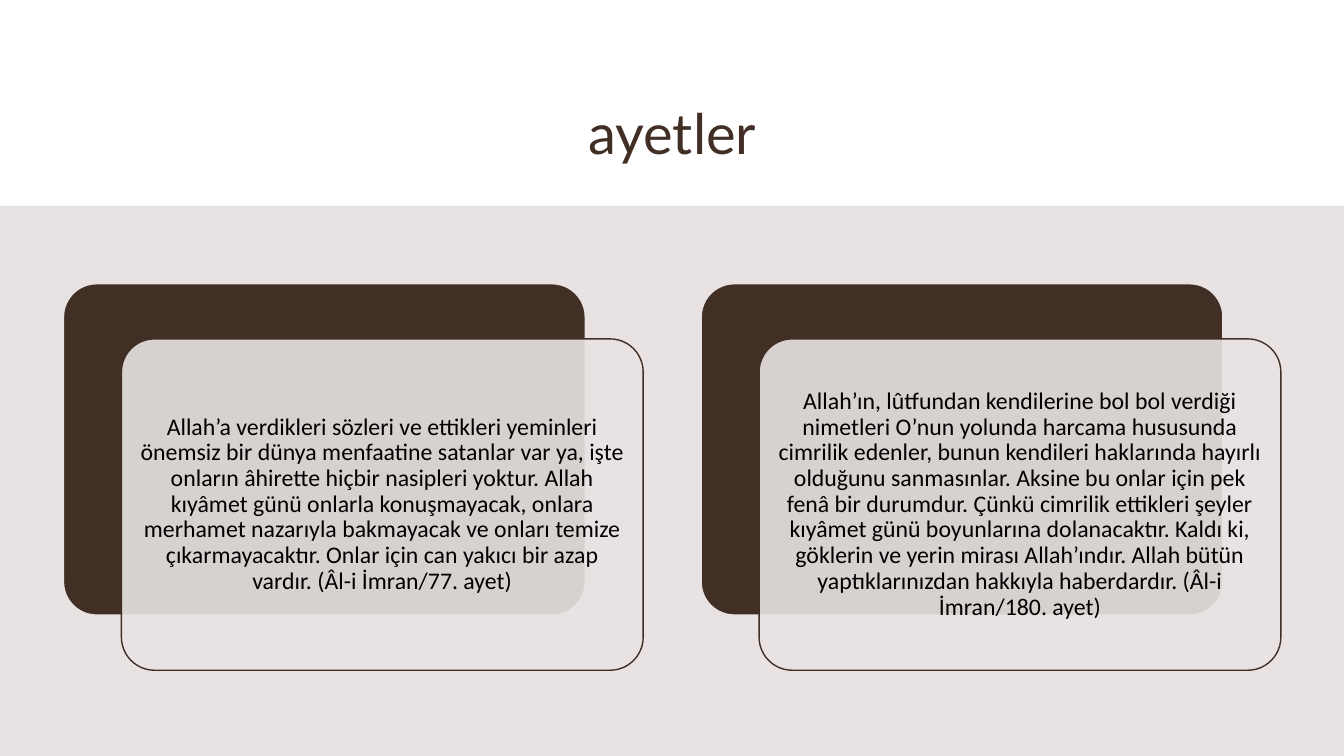
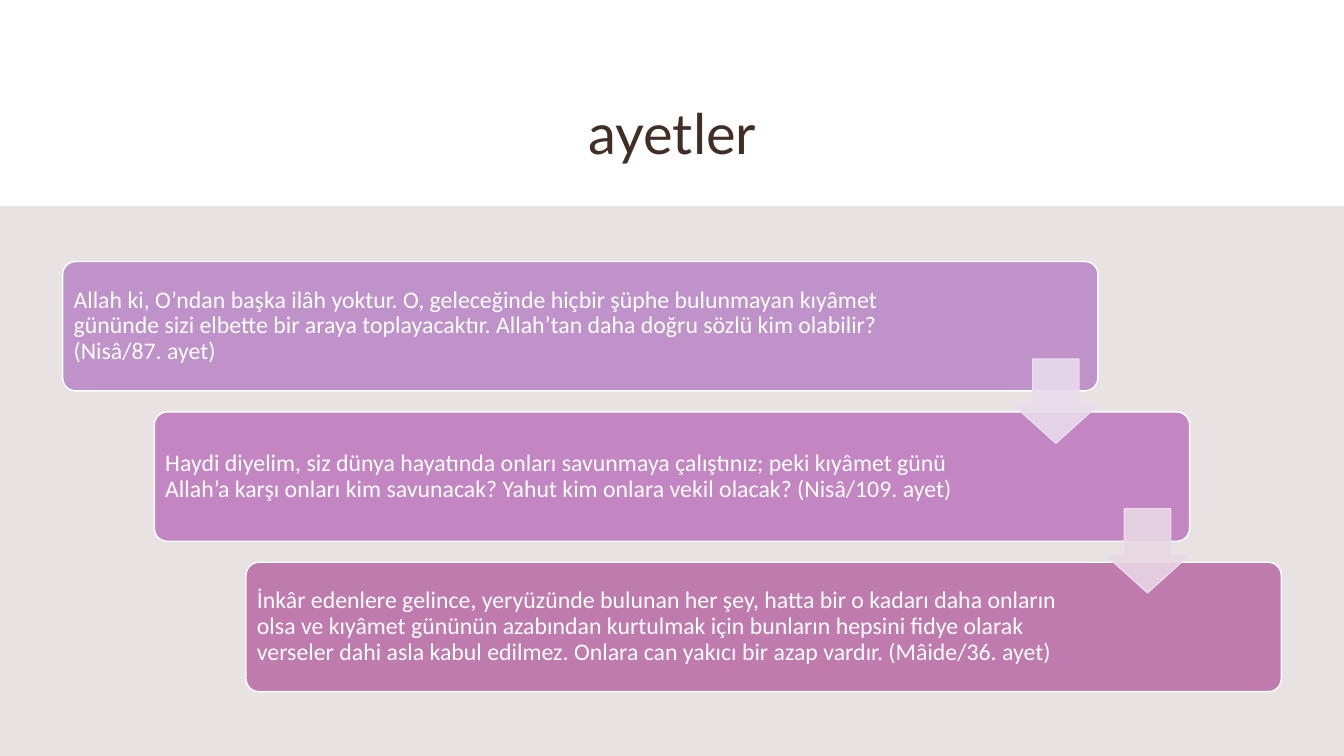
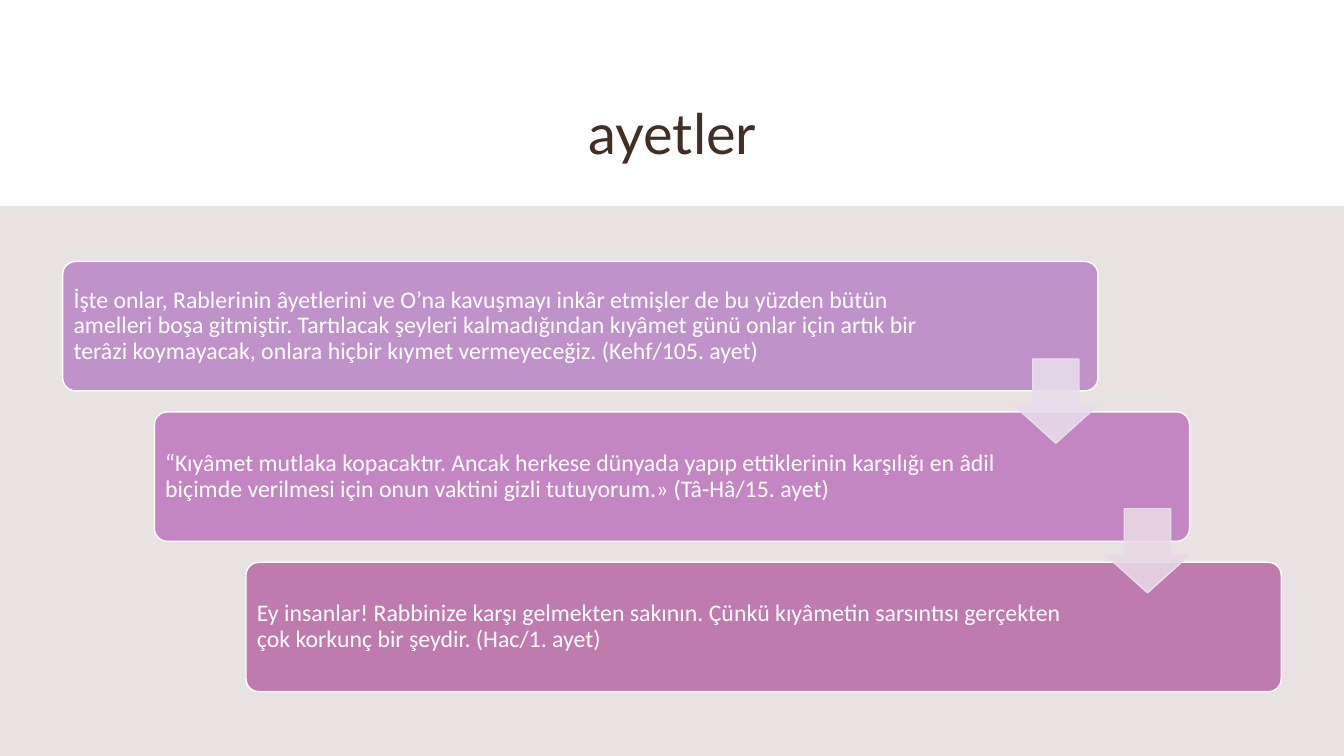
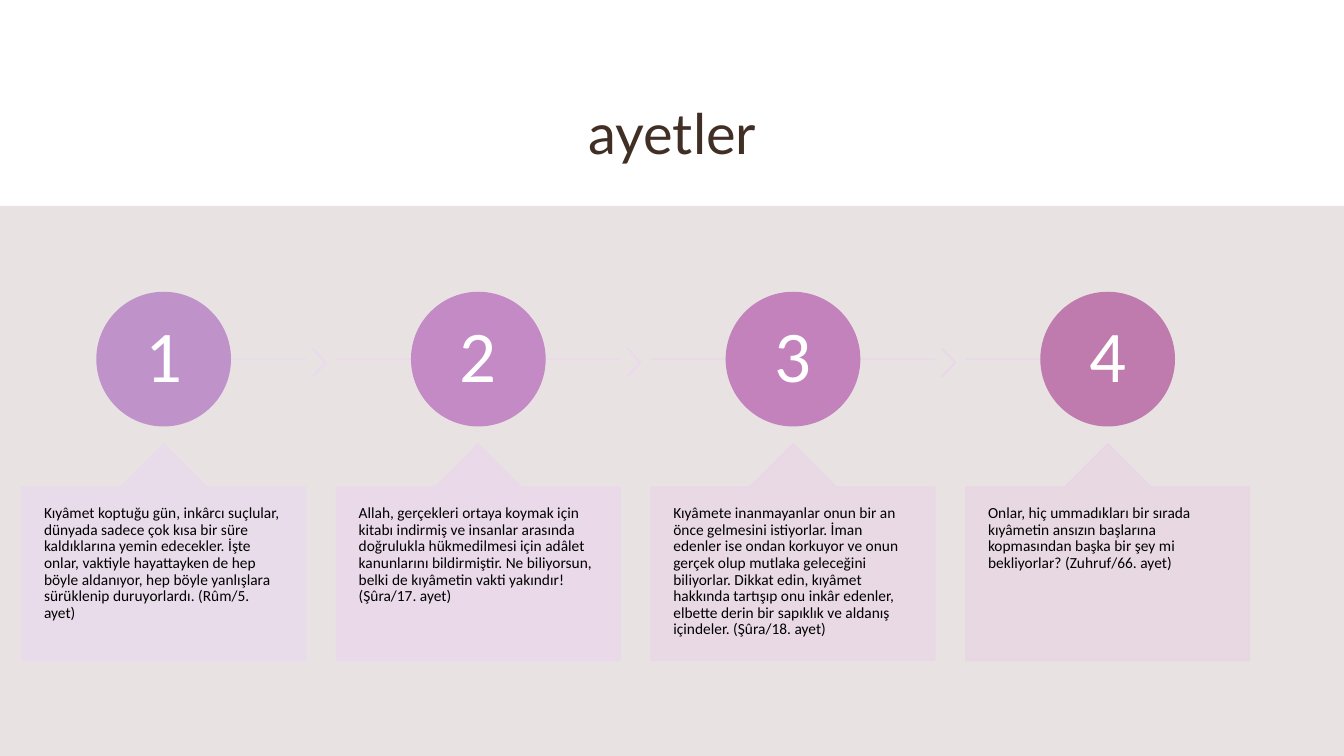
from pptx import Presentation
from pptx.dml.color import RGBColor
from pptx.enum.shapes import MSO_CONNECTOR, MSO_SHAPE
from pptx.enum.text import MSO_ANCHOR, PP_ALIGN
from pptx.oxml.ns import qn
from pptx.util import Cm, Pt
from lxml.etree import SubElement

COLORS = {
    "white": "FFFFFF", "black": "000000", "brown": "412E24", "band": "E8E3E2",
    "lilac": "C092CA", "orchid": "C486C2", "rose": "BF7AAE",
    "mauve": "C48AC6", "pink": "C382BC",
    "pale_lilac": "E8DCEC", "pale_rose": "E8D7E3",
    "line_2": "EADAEB", "line_3": "EAD9E9", "line_4": "E9D8E5",
    "chevron_1": "E9DBEB", "chevron_2": "EADAEA", "chevron_3": "E9D9E8",
    "callout_2": "EAD9EA", "callout_3": "E9D8E6",
}
COLORS = {name: RGBColor.from_string(value) for name, value in COLORS.items()}
TITLE = "ayetler"


def add_box(slide, kind, left, top, width, height, fill, line=None, adjustments=(), alpha=None):
    shape = slide.shapes.add_shape(kind, Cm(left), Cm(top), Cm(width), Cm(height))
    shape.shadow.inherit = False
    for index, value in enumerate(adjustments):
        shape.adjustments[index] = value
    shape.fill.solid()
    shape.fill.fore_color.rgb = COLORS[fill]
    if line:
        shape.line.color.rgb = COLORS[line]
        shape.line.width = Pt(1)
    else:
        shape.line.fill.background()
    if alpha:
        color = shape._element.spPr.find(qn("a:solidFill")).find(qn("a:srgbClr"))
        SubElement(color, qn("a:alpha"), val=str(alpha * 1000))
    return shape


def set_text(shape, text, size, color, insets, align=PP_ALIGN.LEFT,
             anchor=MSO_ANCHOR.MIDDLE, font="Calibri", spacing=0.9):
    frame = shape.text_frame
    frame.word_wrap = True
    frame.vertical_anchor = anchor
    frame.margin_left, frame.margin_top, frame.margin_right, frame.margin_bottom = map(Cm, insets)
    paragraph = frame.paragraphs[0]
    paragraph.text = text
    paragraph.alignment = align
    paragraph.line_spacing = spacing
    paragraph.font.name = font
    paragraph.font.size = Pt(size)
    paragraph.font.color.rgb = COLORS[color]


presentation = Presentation()
presentation.slide_width = Cm(33.87)
presentation.slide_height = Cm(19.05)

slides = []
for _ in range(4):
    slide = presentation.slides.add_slide(presentation.slide_layouts[6])
    slide.background.fill.solid()
    slide.background.fill.fore_color.rgb = COLORS["white"]
    title = slide.shapes.add_textbox(Cm(3.97), Cm(1.96), Cm(25.95), Cm(2.76))
    set_text(title, TITLE, 40, "brown", (0.25, 0.13, 0.25, 0.13), PP_ALIGN.CENTER,
             font="Lato", spacing=1.0)
    add_box(slide, MSO_SHAPE.RECTANGLE, 0, 5.19, 33.87, 13.86, "band")
    slides.append(slide)

cards = [
    "Allah’a verdikleri sözleri ve ettikleri yeminleri önemsiz bir dünya menfaatine satanlar var ya, işte onların âhirette hiçbir nasipleri yoktur. Allah kıyâmet günü onlarla konuşmayacak, onlara merhamet nazarıyla bakmayacak ve onları temize çıkarmayacaktır. Onlar için can yakıcı bir azap vardır. (Âl-i İmran/77. ayet)",
    "Allah’ın, lûtfundan kendilerine bol bol verdiği nimetleri O’nun yolunda harcama hususunda cimrilik edenler, bunun kendileri haklarında hayırlı olduğunu sanmasınlar. Aksine bu onlar için pek fenâ bir durumdur. Çünkü cimrilik ettikleri şeyler kıyâmet günü boyunlarına dolanacaktır. Kaldı ki, göklerin ve yerin mirası Allah’ındır. Allah bütün yaptıklarınızdan hakkıyla haberdardır. (Âl-i İmran/180. ayet)",
]
for index, text in enumerate(cards):
    left, top = 1.6 + 16.07 * index, 7.15
    add_box(slides[0], MSO_SHAPE.ROUNDED_RECTANGLE, left, top, 13.15, 8.35,
            "brown", "band", [0.1])
    card = add_box(slides[0], MSO_SHAPE.ROUNDED_RECTANGLE, left + 1.46, top + 1.39, 13.15, 8.35,
                   "band", "brown", [0.1], 90)
    set_text(card, text, 17, "black", [0.18] * 4, PP_ALIGN.CENTER)

staircases = [
    [
        "Allah ki, O’ndan başka ilâh yoktur. O, geleceğinde hiçbir şüphe bulunmayan kıyâmet gününde sizi elbette bir araya toplayacaktır. Allah’tan daha doğru sözlü kim olabilir? (Nisâ/87. ayet)",
        "Haydi diyelim, siz dünya hayatında onları savunmaya çalıştınız; peki kıyâmet günü Allah’a karşı onları kim savunacak? Yahut kim onlara vekil olacak? (Nisâ/109. ayet)",
        "İnkâr edenlere gelince, yeryüzünde bulunan her şey, hatta bir o kadarı daha onların olsa ve kıyâmet gününün azabından kurtulmak için bunların hepsini fidye olarak verseler dahi asla kabul edilmez. Onlara can yakıcı bir azap vardır. (Mâide/36. ayet)",
    ],
    [
        "İşte onlar, Rablerinin âyetlerini ve O’na kavuşmayı inkâr etmişler de bu yüzden bütün amelleri boşa gitmiştir. Tartılacak şeyleri kalmadığından kıyâmet günü onlar için artık bir terâzi koymayacak, onlara hiçbir kıymet vermeyeceğiz. (Kehf/105. ayet)",
        "“Kıyâmet mutlaka kopacaktır. Ancak herkese dünyada yapıp ettiklerinin karşılığı en âdil biçimde verilmesi için onun vaktini gizli tutuyorum.» (Tâ-Hâ/15. ayet)",
        "Ey insanlar! Rabbinize karşı gelmekten sakının. Çünkü kıyâmetin sarsıntısı gerçekten çok korkunç bir şeydir. (Hac/1. ayet)",
    ],
]
step_fills = ["lilac", "orchid", "rose"]
step_right_insets = [3.5, 4.6, 4.6]
step_left, step_shift, step_width, arrow_size = 1.58, 2.31, 26.09, 2.12
for slide, steps in zip(slides[1:3], staircases):
    for index, (text, fill, right) in enumerate(zip(steps, step_fills, step_right_insets)):
        step = add_box(slide, MSO_SHAPE.ROUNDED_RECTANGLE, step_left + step_shift * index,
                       6.59 + 3.79 * index, step_width, 3.26, fill, "white", [0.1])
        set_text(step, text, 17, "white", (0.18, 0.18, right, 0.18))
    for index, fill in enumerate(["pale_lilac", "pale_rose"]):
        add_box(slide, MSO_SHAPE.DOWN_ARROW,
                step_left + step_shift * index + step_width - arrow_size, 9.05 + 3.77 * index,
                arrow_size, arrow_size, fill, "pale_lilac", [0.55, 0.45], 90)

timeline = [
    ("Kıyâmet koptuğu gün, inkârcı suçlular, dünyada sadece çok kısa bir süre kaldıklarına yemin edecekler. İşte onlar, vaktiyle hayattayken de hep böyle aldanıyor, hep böyle yanlışlara sürüklenip duruyorlardı. (Rûm/5. ayet)",
     "lilac", "chevron_1", "pale_lilac", "chevron_1"),
    ("Allah, gerçekleri ortaya koymak için kitabı indirmiş ve insanlar arasında doğrulukla hükmedilmesi için adâlet kanunlarını bildirmiştir. Ne biliyorsun, belki de kıyâmetin vakti yakındır! (Şûra/17. ayet)",
     "mauve", "callout_2", "line_2", "chevron_2"),
    ("Kıyâmete inanmayanlar onun bir an önce gelmesini istiyorlar. İman edenler ise ondan korkuyor ve onun gerçek olup mutlaka geleceğini biliyorlar. Dikkat edin, kıyâmet hakkında tartışıp onu inkâr edenler, elbette derin bir sapıklık ve aldanış içindeler. (Şûra/18. ayet)",
     "pink", "callout_3", "line_3", "chevron_3"),
    ("Onlar, hiç ummadıkları bir sırada kıyâmetin ansızın başlarına kopmasından başka bir şey mi bekliyorlar? (Zuhruf/66. ayet)",
     "rose", "pale_rose", "line_4", None),
]
slide = slides[3]
callout_width, circle_size, axis = 7.15, 3.36, 9.05
last = len(timeline) - 1
for index, (text, circle_fill, callout_fill, line_color, chevron_fill) in enumerate(timeline):
    left = 0.55 + 7.93 * index
    center = left + callout_width / 2
    start = center if index == 0 else left
    end = center if index == last else left + callout_width
    connector = slide.shapes.add_connector(MSO_CONNECTOR.STRAIGHT, Cm(start), Cm(axis), Cm(end), Cm(axis))
    connector.line.color.rgb = COLORS[line_color]
    connector.line.width = Pt(1)
    SubElement(connector._element.spPr, qn("a:effectLst"))
    if chevron_fill:
        add_box(slide, MSO_SHAPE.CHEVRON, left + 7.32, 8.79, 0.36, 0.69,
                chevron_fill, chevron_fill, [0.9], 90)
    circle = add_box(slide, MSO_SHAPE.OVAL, center - circle_size / 2, axis - circle_size / 2,
                     circle_size, circle_size, circle_fill, circle_fill)
    set_text(circle, str(index + 1), 52, "white", [0.13] * 4, PP_ALIGN.CENTER)
    callout = add_box(slide, MSO_SHAPE.UP_ARROW_CALLOUT, left, 11.18, callout_width, 5.46,
                      callout_fill, callout_fill, [0.4, 0.2, 0.2, 0.8], 90)
    set_text(callout, text, 11, "black", (0.56, 0.46, 0.56, 0.46), anchor=MSO_ANCHOR.TOP)

presentation.save("out.pptx")
